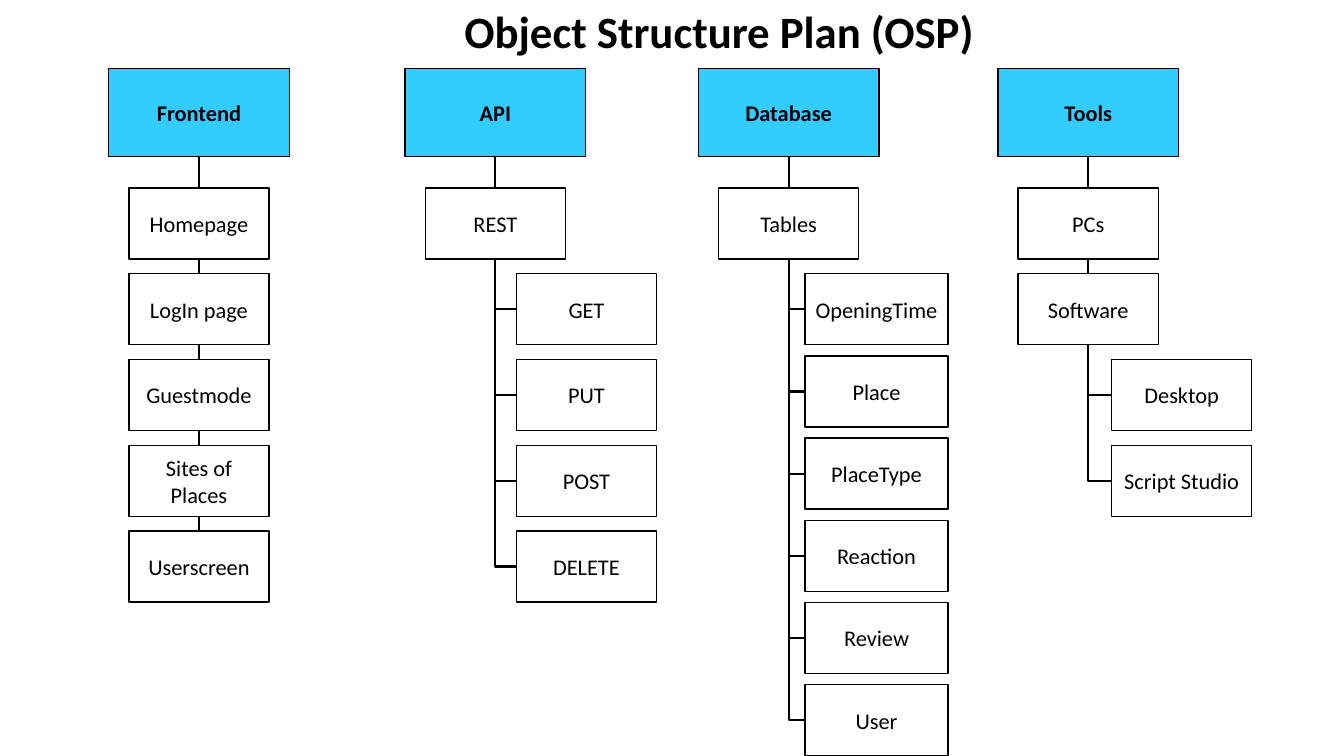
from lxml import etree
from pptx import Presentation
from pptx.dml.color import RGBColor
from pptx.enum.shapes import MSO_CONNECTOR, MSO_SHAPE
from pptx.enum.text import MSO_ANCHOR, MSO_AUTO_SIZE, PP_ALIGN
from pptx.oxml.ns import qn
from pptx.util import Cm, Pt

RECT = MSO_SHAPE.RECTANGLE
STRAIGHT, ELBOW = MSO_CONNECTOR.STRAIGHT, MSO_CONNECTOR.ELBOW
TOP, MIDDLE = MSO_ANCHOR.TOP, MSO_ANCHOR.MIDDLE
LEFT, CENTER = PP_ALIGN.LEFT, PP_ALIGN.CENTER
NO_FIT = MSO_AUTO_SIZE.NONE

COLORS = {"head": "33CCFF", "node": "FFFFFF", "ink": "000000"}
FONT = "Calibri"

# Sizes in cm
HEAD_W, HEAD_H = 4.55, 2.21
NODE_W, NODE_H = 3.53, 1.79
FIRST, PITCH = 4.74, 2.16  # top of the first node, step between rows
SITE_TOP, SITE_LEFT, SITE_BASE = 0, 1, 2

# Each column: left edge, head, trunk nodes, leaves, leaf gap, width and step
COLUMNS = [
    (2.74, "Frontend", ["Homepage", "LogIn page", "Guestmode",
                        "Sites of Places", "Userscreen"], [], 0, 0, 0),
    (10.21, "API", ["REST"], ["GET", "PUT", "POST", "DELETE"],
     0.53, NODE_W, PITCH),
    (17.6, "Database", ["Tables"],
     ["OpeningTime", "Place", "PlaceType", "Reaction", "Review", "User"],
     0.41, 3.61, 2.07),
    (25.15, "Tools", ["PCs", "Software"], ["Desktop", "Script Studio"],
     0.59, NODE_W, PITCH),
]


def write(shape, text, size=16, bold=False, align=CENTER, anchor=MIDDLE,
          wrap=True, inset=0.2):
    frame = shape.text_frame
    frame.auto_size = NO_FIT
    frame.word_wrap = wrap
    frame.vertical_anchor = anchor
    frame.margin_left = frame.margin_right = Cm(inset)
    frame.text = text
    line = frame.paragraphs[0]
    line.alignment = align
    font = line.runs[0].font
    font.name, font.size, font.bold = FONT, Pt(size), bold
    font.color.rgb = RGBColor.from_string(COLORS["ink"])


def add_box(slide, text, x, y, w, h, fill="node", bold=False):
    box = slide.shapes.add_shape(RECT, Cm(x), Cm(y), Cm(w), Cm(h))
    box.shadow.inherit = False
    box.fill.solid()
    box.fill.fore_color.rgb = RGBColor.from_string(COLORS[fill])
    box.line.color.rgb = RGBColor.from_string(COLORS["ink"])
    box.line.width = Pt(1)
    write(box, text, bold=bold)
    return box


def link(slide, start, end, kind, site):
    wire = slide.shapes.add_connector(kind, 0, 0, 0, 0)
    wire.begin_connect(start, SITE_BASE)
    wire.end_connect(end, site)
    wire.line.color.rgb = RGBColor.from_string(COLORS["ink"])
    wire.line.width = Pt(1.5)
    etree.SubElement(wire._element.spPr, qn("a:effectLst"))
    return wire


def add_branch(slide, start, end):
    """Link that runs down from start, then right into end."""
    wire = link(slide, start, end, ELBOW, SITE_LEFT)
    # A single bend is drawn turned a quarter, so swap the sides about the centre
    mid_x, mid_y = wire.left + wire.width // 2, wire.top + wire.height // 2
    wide, high = wire.height, wire.width
    wire.left, wire.top = mid_x - wide // 2, mid_y - high // 2
    wire.width, wire.height = wide, high
    props = wire._element.spPr
    props.find(qn("a:prstGeom")).set("prst", "bentConnector2")
    frame = props.find(qn("a:xfrm"))
    for flip in ("flipH", "flipV"):
        frame.attrib.pop(flip, None)
    frame.set("rot", "16200000")
    frame.set("flipH", "1")


def add_title(slide, x, y, w, h):
    title = slide.shapes.title
    title.left, title.top, title.width, title.height = map(Cm, (x, y, w, h))
    write(title, "Object Structure Plan (OSP)", size=32, bold=True,
          align=LEFT, anchor=TOP, wrap=False, inset=0.25)


def add_column(slide, x, y, head, nodes, leaves, gap, width, step):
    last = add_box(slide, head, x, y, HEAD_W, HEAD_H, "head", True)
    # Trunk, centred under the head
    for row, name in enumerate(nodes):
        node = add_box(slide, name, x + (HEAD_W - NODE_W) / 2,
                       FIRST + row * PITCH, NODE_W, NODE_H)
        link(slide, last, node, STRAIGHT, SITE_TOP)
        last = node
    # Leaves, to the right of the trunk line
    start = FIRST + len(nodes) * PITCH
    for row, name in enumerate(leaves):
        leaf = add_box(slide, name, x + HEAD_W / 2 + gap,
                       start + row * step, width, NODE_H)
        add_branch(slide, last, leaf)


deck = Presentation()
deck.slide_width, deck.slide_height = Cm(33.87), Cm(19.05)
slide = deck.slides.add_slide(deck.slide_layouts[5])
add_title(slide, 11.45, -0.03, 13.5, 1.63)
for x, *parts in COLUMNS:
    add_column(slide, x, 1.73, *parts)
deck.save("out.pptx")
